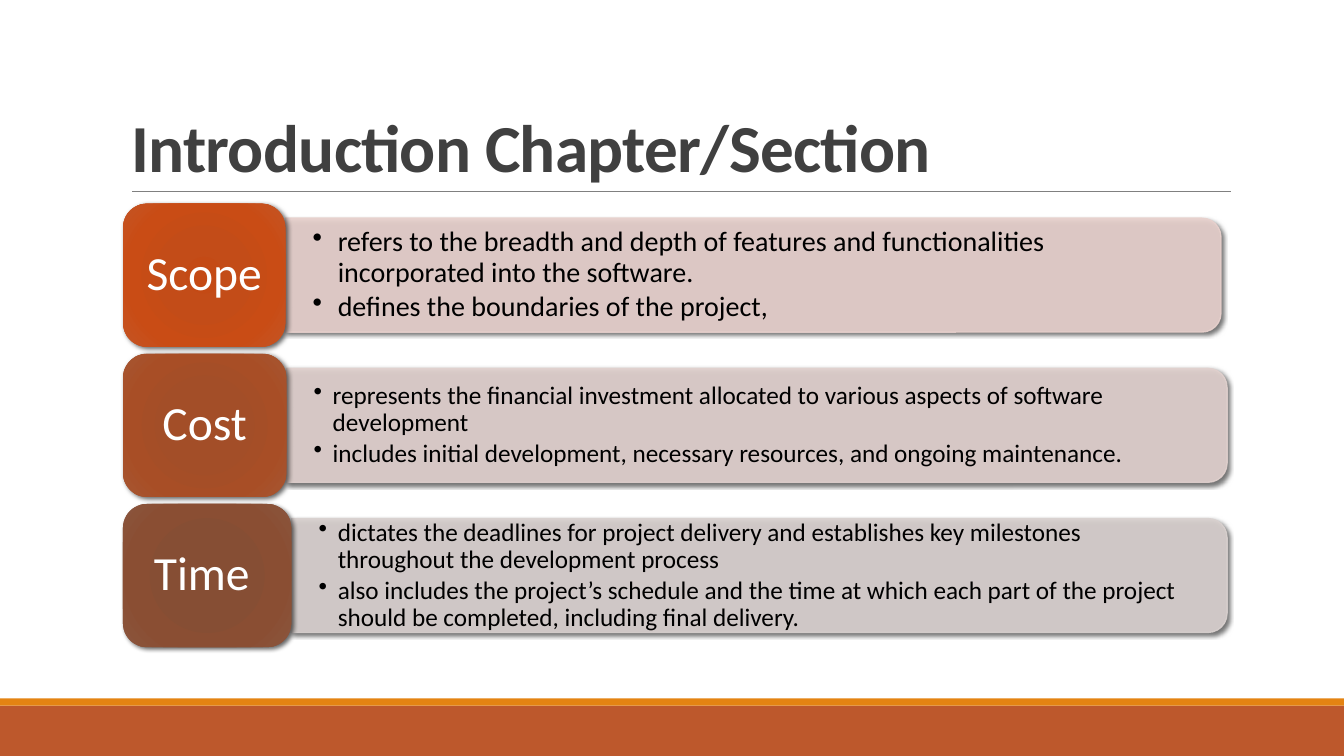
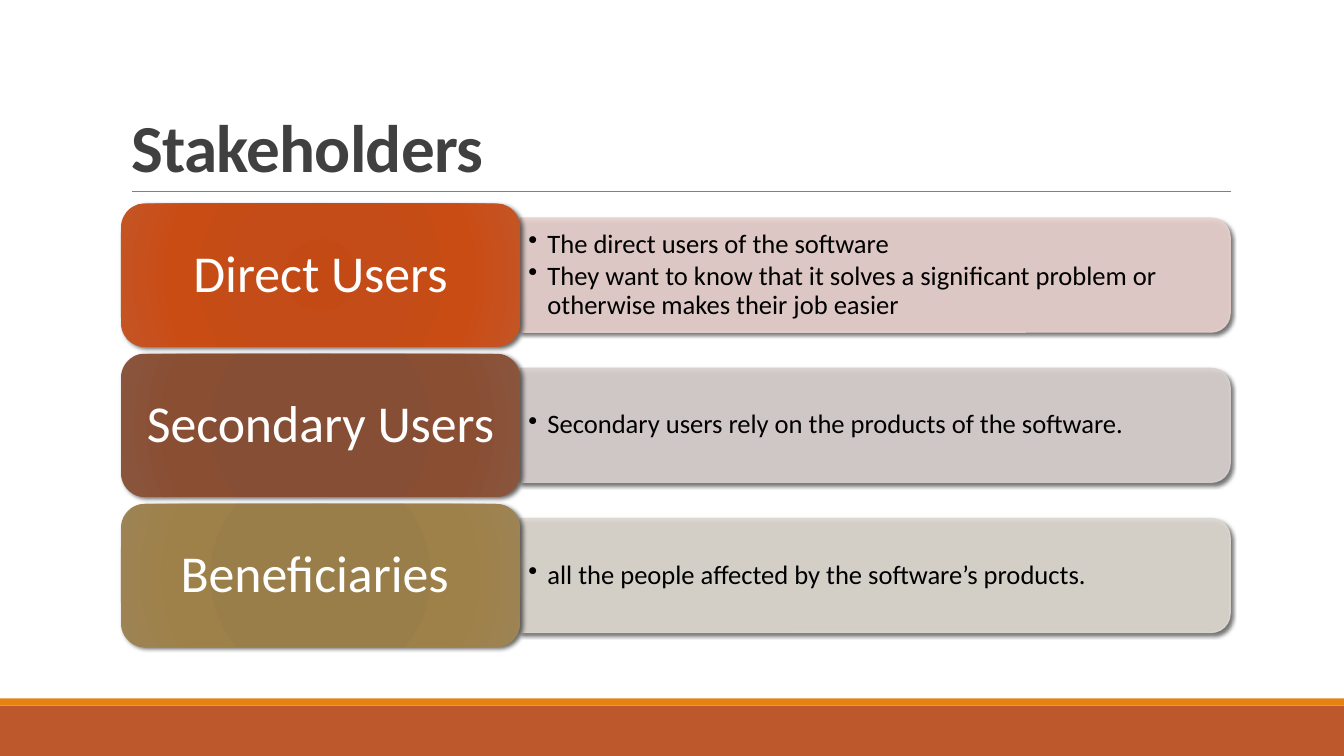
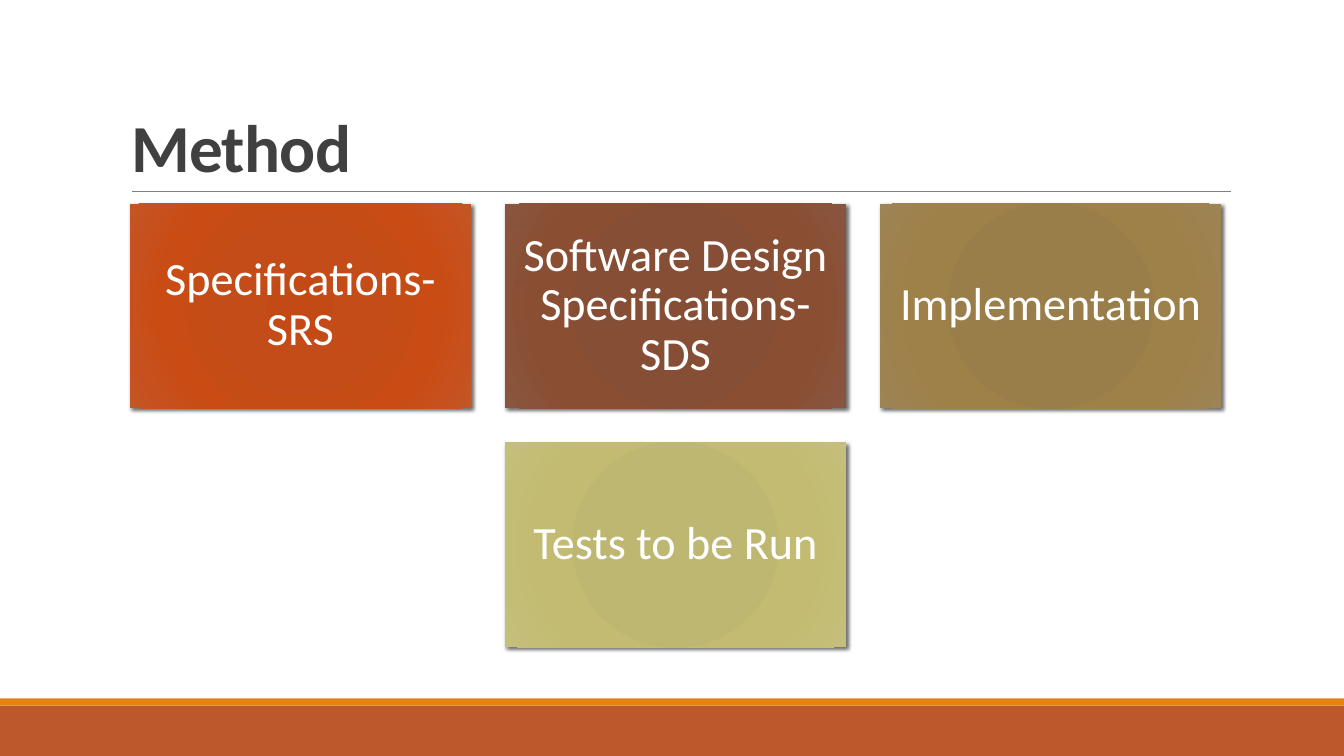
from dataclasses import dataclass

from pptx import Presentation
from pptx.dml.color import RGBColor
from pptx.enum.shapes import MSO_CONNECTOR, MSO_SHAPE
from pptx.enum.text import MSO_ANCHOR, MSO_AUTO_SIZE, PP_ALIGN
from pptx.oxml import parse_xml
from pptx.oxml.ns import nsdecls, qn
from pptx.util import Inches, Pt


@dataclass(frozen=True)
class Tone:
    stops: tuple  # radial gradient colours, at the theme's stop positions
    tint: str = ""


@dataclass(frozen=True)
class Theme:
    font: str = "Calibri"
    title: str = "404040"
    text: str = "000000"
    light: str = "FFFFFF"
    band: str = "BD582C"
    stripe: str = "E48312"
    rule: str = "808080"
    title_size: float = 48
    tile_size: float = 33
    stop_positions: tuple = (0, 34, 70, 100)
    orange: Tone = Tone(("C44A15", "C34C18", "C94C15", "C45525"), "E8D1CD")
    rust: Tone = Tone(("A44C25", "A34E28", "A84E26", "A65632"), "E1D1CE")
    brown: Tone = Tone(("874C32", "864E34", "8A4E33", "8A553D"), "D9D1CF")
    ochre: Tone = Tone(("9A7D48", "9A7E4A", "9E8049", "9E8454"), "DED9D1")
    olive: Tone = Tone(("BEB76E", "BEB771", "C3BB71", "C5BF7D"))


THEME = Theme()


@dataclass(frozen=True)
class Box:
    left: float
    top: float
    width: float
    height: float

    def place(self):
        return [Inches(n) for n in (self.left, self.top, self.width, self.height)]

    def inset(self, x, y):
        return Box(self.left + x, self.top + y, self.width - 2 * x, self.height - 2 * y)

    def turned(self):
        """Frame that covers this box after a quarter turn."""
        shift = (self.width - self.height) / 2
        return Box(self.left + shift, self.top - shift, self.height, self.width)

    def cell(self, column, row, columns, rows, gap):
        width = (self.width - gap * (columns - 1)) / columns
        height = (self.height - gap * (rows - 1)) / rows
        return Box(self.left + column * (width + gap),
                   self.top + row * (height + gap), width, height)


@dataclass(frozen=True)
class Row:
    label: str
    tone: Tone
    bullets: tuple
    tab: float
    panel: float
    size: float
    indent: float = 0.19


SLIDE = Box(0, 0, 13.33, 7.5)
TITLE = Box(1.2, 0.31, 11, 1.59)
ROW_GAP, TILE_GAP, PANEL_MARGIN = 0.07, 0.34, 0.145


def write(frame, paragraphs, *, size, color, bold=False, align=PP_ALIGN.LEFT,
          anchor=MSO_ANCHOR.MIDDLE, insets=(0.1, 0.05), line=0.9, indent=0, tracking=0):
    """Fill a text frame; an indent turns the paragraphs into bullets."""
    frame.word_wrap = True
    frame.auto_size = MSO_AUTO_SIZE.NONE
    frame.vertical_anchor = anchor
    frame.margin_left = frame.margin_right = Inches(insets[0])
    frame.margin_top = frame.margin_bottom = Inches(insets[1])
    for index, text in enumerate(paragraphs):
        paragraph = frame.add_paragraph() if index else frame.paragraphs[0]
        if indent:
            properties = paragraph._p.get_or_add_pPr()
            properties.set("marL", str(Inches(indent)))
            properties.set("indent", str(-Inches(indent)))
            properties.append(parse_xml(f'<a:buChar {nsdecls("a")} char="•"/>'))
        paragraph.alignment = align
        paragraph.line_spacing = line
        if index < len(paragraphs) - 1:
            paragraph.space_after = Pt(0.15 * size)
        run = paragraph.add_run()
        run.text = text
        font = run.font
        font.name, font.size, font.bold = THEME.font, Pt(size), bold
        font.color.rgb = RGBColor.from_string(color)
        if tracking:
            run._r.get_or_add_rPr().set("spc", str(int(tracking * 100)))


def add_shadow(shape, blur):
    shape.shadow.inherit = False
    shape.element.spPr.find(qn("a:effectLst")).append(parse_xml(
        f'<a:outerShdw {nsdecls("a")} blurRad="{Pt(blur)}" dist="{Pt(2)}" dir="2700000" '
        'algn="ctr" rotWithShape="0"><a:srgbClr val="000000"><a:alpha val="60000"/>'
        '</a:srgbClr></a:outerShdw>'))


def add_solid(slide, preset, box, color):
    shape = slide.shapes.add_shape(preset, *box.place())
    shape.shadow.inherit = False
    shape.fill.solid()
    shape.fill.fore_color.rgb = RGBColor.from_string(color)
    shape.line.fill.background()
    return shape


def add_gradient(slide, preset, box, tone, blur):
    shape = slide.shapes.add_shape(preset, *box.place())
    shape.fill.background()
    shape.line.fill.background()
    stops = "".join(f'<a:gs pos="{position * 1000}"><a:srgbClr val="{color}"/></a:gs>'
                    for position, color in zip(THEME.stop_positions, tone.stops))
    properties = shape.element.spPr
    properties.replace(properties.find(qn("a:noFill")), parse_xml(
        f'<a:gradFill {nsdecls("a")} rotWithShape="1"><a:gsLst>{stops}</a:gsLst>'
        '<a:path path="circle"><a:fillToRect l="100000" t="100000" r="100000" b="100000"/>'
        '</a:path></a:gradFill>'))
    add_shadow(shape, blur)
    return shape


def dress_layout(layout, slide):
    """Draw the bands and the title rule once and hand them to the layout."""
    for holder in list(layout.placeholders):
        if holder.placeholder_format.idx:
            holder.element.getparent().remove(holder.element)
    band = add_solid(slide, MSO_SHAPE.RECTANGLE, Box(0, 7, SLIDE.width, 0.5), THEME.band)
    stripe = add_solid(slide, MSO_SHAPE.RECTANGLE, Box(0, 6.93, SLIDE.width, 0.07), THEME.stripe)
    rule = slide.shapes.add_connector(MSO_CONNECTOR.STRAIGHT, Inches(1.31), Inches(1.9),
                                      Inches(12.21), Inches(1.9))
    rule.line.color.rgb = RGBColor.from_string(THEME.rule)
    rule.line.width = Pt(0.5)
    rule.element.spPr.append(parse_xml(f'<a:effectLst {nsdecls("a")}/>'))
    for part in (band, stripe, rule):
        layout.shapes.element.append(part.element)


def add_titled_slide(deck, heading):
    layout = deck.slide_layouts[5]
    slide = deck.slides.add_slide(layout)
    if len(deck.slides) == 1:
        dress_layout(layout, slide)
    title = slide.shapes.title
    title.left, title.top, title.width, title.height = TITLE.place()
    write(title.text_frame, [heading], size=THEME.title_size, color=THEME.title, bold=True,
          anchor=MSO_ANCHOR.BOTTOM, line=0.85, tracking=-0.5)
    return slide


def add_row(slide, box, row, label_size, panel_insets):
    """A coloured tab with a tinted panel of bullets to its right."""
    # Panel, rounded on the right
    panel_box = Box(box.left + row.tab, box.top + PANEL_MARGIN,
                    row.panel, box.height - 2 * PANEL_MARGIN)
    panel = add_solid(slide, MSO_SHAPE.ROUND_2_SAME_RECTANGLE, panel_box.turned(), row.tone.tint)
    panel.rotation = 90
    panel.line.color.rgb = RGBColor.from_string(row.tone.tint)
    panel.line.width = Pt(1)
    for color in list(panel.element.spPr.iter(qn("a:srgbClr"))):
        color.append(parse_xml(f'<a:alpha {nsdecls("a")} val="90000"/>'))
    add_shadow(panel, 3)
    # Bullets
    bullets_box = Box(panel_box.left, panel_box.top, row.panel - 0.06, panel_box.height)
    bullets = slide.shapes.add_textbox(*bullets_box.inset(0, 0.055).place())
    write(bullets.text_frame, row.bullets, size=row.size, color=THEME.text,
          insets=panel_insets, indent=row.indent)
    # Tab
    tab = add_gradient(slide, MSO_SHAPE.ROUNDED_RECTANGLE,
                       Box(box.left, box.top, row.tab, box.height), row.tone, 3.5)
    write(tab.text_frame, [row.label], size=label_size, color=THEME.light,
          align=PP_ALIGN.CENTER, insets=(0.14, 0.07))


def add_row_slide(deck, heading, rows, body, label_size, panel_insets):
    slide = add_titled_slide(deck, heading)
    for index, row in enumerate(rows):
        add_row(slide, body.cell(0, index, 1, len(rows), ROW_GAP), row, label_size, panel_insets)


def add_tile_slide(deck, heading, tiles, body, columns=3):
    """Tiles in a grid, with a short last row centred."""
    slide = add_titled_slide(deck, heading)
    rows = -(-len(tiles) // columns)
    for index, (label, tone) in enumerate(tiles):
        row, column = divmod(index, columns)
        in_row = min(columns, len(tiles) - row * columns)
        box = body.cell(column + (columns - in_row) / 2, row, columns, rows, TILE_GAP)
        tile = add_gradient(slide, MSO_SHAPE.RECTANGLE, box, tone, 3)
        write(tile.text_frame, [label], size=THEME.tile_size, color=THEME.light,
              align=PP_ALIGN.CENTER, insets=(0.14, 0.14))


CONSTRAINTS = (
    Row("Scope", THEME.orange, (
        "refers to the breadth and depth of features and functionalities "
        "incorporated into the software.",
        "defines the boundaries of the project,"), 1.61, 9.28, 20, 0.25),
    Row("Cost", THEME.rust, (
        "represents the financial investment allocated to various aspects of "
        "software development",
        "includes initial development, necessary resources, and ongoing maintenance."),
        1.62, 9.33, 18),
    Row("Time ", THEME.brown, (
        "dictates the deadlines for project delivery and establishes key milestones "
        "throughout the development process",
        "also includes the project’s schedule and the time at which each part of the "
        "project should be completed, including final delivery."), 1.67, 9.28, 18),
)
STAKEHOLDERS = tuple(Row(label, tone, bullets, 3.96, 7.04, 19) for label, tone, bullets in (
    ("Direct Users", THEME.orange, (
        "The direct users of the software",
        "They want to know that it solves a significant problem or otherwise makes "
        "their job easier")),
    ("Secondary Users", THEME.brown, ("Secondary users rely on the products of the software.",)),
    ("Beneficiaries ", THEME.ochre, ("all the people affected by the software’s products.",)),
))
METHOD = (
    ("Specifications-SRS", THEME.orange),
    ("Software Design Specifications-SDS", THEME.brown),
    ("Implementation", THEME.ochre),
    ("Tests to be Run", THEME.olive),
)


def main():
    deck = Presentation()
    deck.slide_width, deck.slide_height = Inches(SLIDE.width), Inches(SLIDE.height)
    add_row_slide(deck, "Introduction Chapter/Section", CONSTRAINTS,
                  Box(1.22, 2.02, 10.95, 4.4), 34, (0.27, 0.14))
    add_row_slide(deck, "Stakeholders", STAKEHOLDERS,
                  Box(1.2, 2.02, 11, 4.4), 37, (0.08, 0.04))
    add_tile_slide(deck, "Method", METHOD, Box(1.29, 2.02, 10.82, 4.4))
    deck.save("out.pptx")


if __name__ == "__main__":
    main()
